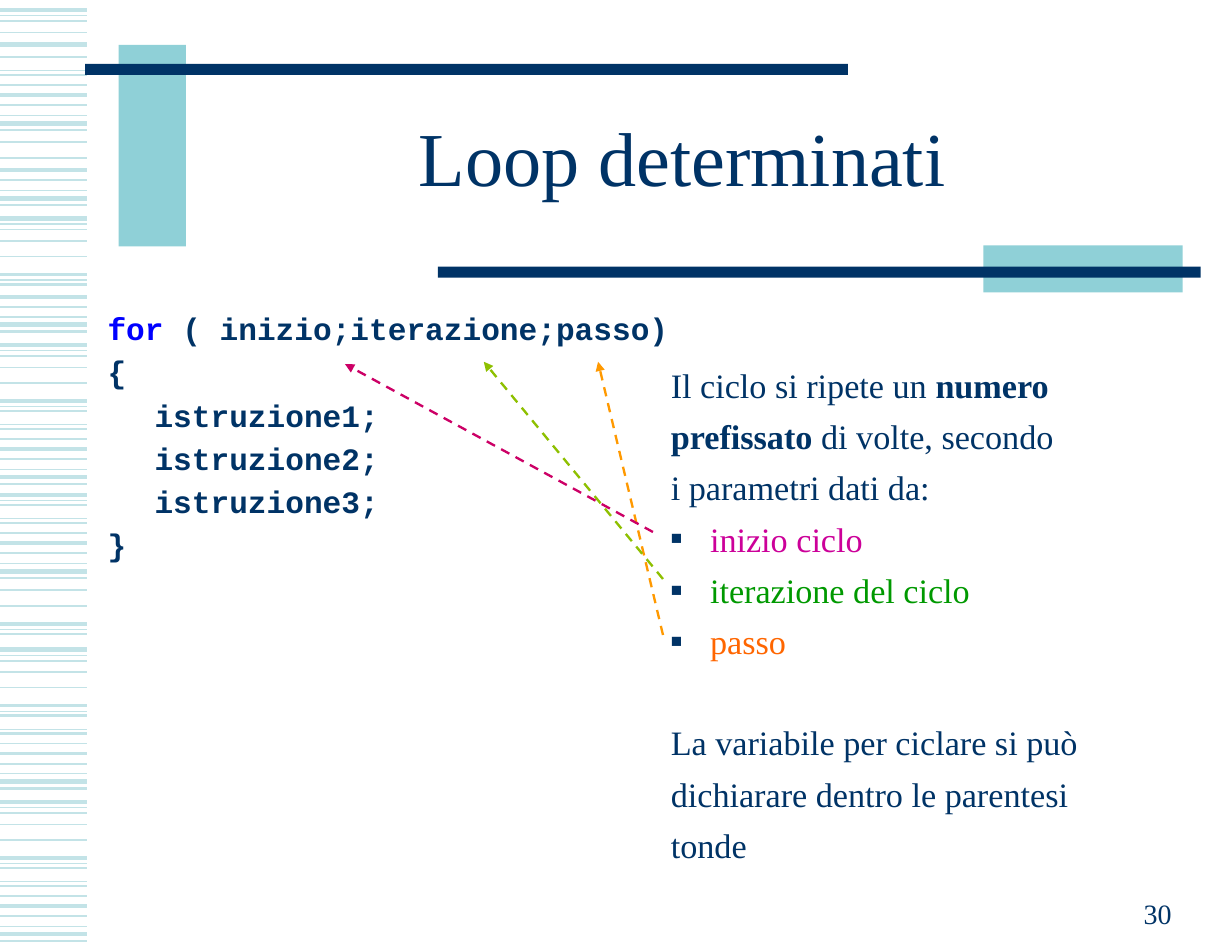
from dataclasses import dataclass
from typing import NamedTuple

from pptx import Presentation
from pptx.dml.color import RGBColor
from pptx.enum.dml import MSO_LINE_DASH_STYLE as Dash
from pptx.enum.shapes import MSO_CONNECTOR as Connector, MSO_SHAPE as Shape
from pptx.enum.text import MSO_ANCHOR as Anchor, PP_ALIGN as Align
from pptx.oxml.ns import qn
from pptx.oxml.xmlchemy import OxmlElement
from pptx.util import Emu, Inches, Pt

COLOURS = {
    "navy": "003366", "teal": "8FD0D7", "pale": "C3E3E7", "keyword": "0000FF",
    "magenta": "CC0099", "green": "009900", "orange": "FF6600",
    "start_arrow": "CC0066", "iteration_arrow": "8EC000", "step_arrow": "FF9900",
}
SERIF, MONO = "Times New Roman", "Courier New"
WIDTH, HEIGHT = Inches(11), Inches(8.5)
COLUMNS, ROWS = 44, 34
STRIPE_COLUMNS = 3.12


class Stripe(NamedTuple):
    row: float
    weight: float


class Band(NamedTuple):
    """A run of stripes from a motif, shifted down to a start row."""
    motif: list[Stripe]
    start: float
    first: int = 0
    end: int | None = None


class Box(NamedTuple):
    column: float
    row: float
    columns: float
    rows: float


class Bar(NamedTuple):
    box: Box
    colour: str


class Arrow(NamedTuple):
    start: tuple[float, float]
    tip: tuple[float, float]
    colour: str


class Run(NamedTuple):
    text: str
    colour: str = "navy"
    bold: bool = False


@dataclass
class Line:
    runs: list[Run]
    margin: float = 0
    hanging: float = 0
    before: float = 0


@dataclass
class TextBlock:
    box: Box
    lines: list[Line]
    size: float
    font: str = SERIF
    spacing: float = 1.0
    anchor: Anchor = Anchor.TOP
    align: Align = Align.LEFT


DENSE = [Stripe(-0.36, 1), Stripe(0, 2.25), Stripe(0.36, 1.5),
         Stripe(0.72, 0.75), Stripe(1, 3), Stripe(1.24, 1.5)]
SPARSE = [Stripe(0, 3), Stripe(0.2, 0.75), Stripe(0.4, 1), Stripe(0.8, 1),
          Stripe(1.36, 1), Stripe(2, 2.25), Stripe(2.2, 0.75),
          Stripe(2.36, 1.5), Stripe(2.84, 0.75), Stripe(3, 1.5)]
BANDS = [
    *(Band(DENSE, start) for start in (3.4, 16.04, 19.4, 26.92, 32.36)),
    *(Band(DENSE, start, 1) for start in (6.08, 10.6)),
    *(Band(SPARSE, start) for start in (12.32, 23.2, 28.64)),
    Band(SPARSE, 0.36, 0, 4), Band(SPARSE, 1.6, 0, 1), Band(SPARSE, -0.32, 7),
    Band(SPARSE, 4.28, 3, 5), Band(SPARSE, 7.8, 0, 8),
    Band(SPARSE, 15.68, 5), Band(SPARSE, 20.28, 3, 8),
]
BARS = [
    Bar(Box(4.24, 1.6, 2.4, 7.2), "teal"),
    Bar(Box(3.04, 2.28, 27.24, 0.4), "navy"),
    Bar(Box(35.12, 8.76, 7.12, 1.68), "teal"),
    Bar(Box(15.64, 9.52, 27.24, 0.4), "navy"),
]
ARROWS = [
    Arrow((23.68, 22.68), (21.36, 12.92), "step_arrow"),
    Arrow((23.68, 20.68), (17.28, 12.92), "iteration_arrow"),
    Arrow((23.32, 19), (12.32, 13), "start_arrow"),
]


def code(*runs: Run, margin: float = 0) -> Line:
    return Line(list(runs), margin, before=6.2)


def prose(*runs: Run, before: float = 6.6) -> Line:
    return Line(list(runs), 2.2, before=before)


def bullet(text: str, colour: str) -> Line:
    return Line([Run(text, colour)], 3.6, 1.4, 6.6)


TEXTS = [
    TextBlock(Box(31.72, 31.16, 10.56, 2.28), [Line([Run("30")])], 18,
              anchor=Anchor.BOTTOM, align=Align.RIGHT),
    TextBlock(Box(6.6, 3, 35.52, 5.68), [Line([Run("Loop determinati")])], 49,
              spacing=0.85, anchor=Anchor.MIDDLE, align=Align.CENTER),
    TextBlock(Box(3.4, 10.96, 21.56, 19.24), [
        code(Run("for", "keyword", True),
             Run(" ( inizio;iterazione;passo)", bold=True)),
        code(Run("{", bold=True)),
        *(code(Run(f"istruzione{number};", bold=True), margin=1.68)
          for number in (1, 2, 3)),
        code(Run("}", bold=True)),
    ], 20, MONO, 0.9),
    TextBlock(Box(21.32, 12.76, 19.68, 19.24), [
        prose(Run("Il ciclo si ripete un "), Run("numero", bold=True)),
        prose(Run("prefissato", bold=True), Run(" di volte, secondo")),
        prose(Run("i parametri dati da:")),
        bullet("inizio ciclo", "magenta"),
        bullet("iterazione del ciclo", "green"),
        bullet("passo", "orange"),
        prose(Run("La variabile per ciclare si può"), before=38.5),
        prose(Run("dichiarare dentro le parentesi")),
        prose(Run("tonde")),
    ], 22),
]


def rgb(name: str) -> RGBColor:
    return RGBColor.from_string(COLOURS[name])


def x(columns: float) -> Emu:
    return Emu(round(WIDTH * columns / COLUMNS))


def y(rows: float) -> Emu:
    return Emu(round(HEIGHT * rows / ROWS))


def place(box: Box) -> tuple[Emu, Emu, Emu, Emu]:
    return x(box.column), y(box.row), x(box.columns), y(box.rows)


def add_child(parent, tag: str, **attributes: str):
    child = OxmlElement(tag)
    for name, value in attributes.items():
        child.set(name, value)
    parent.append(child)
    return child


def draw_line(slide, start, end, colour: str, weight: float, arrow: bool = False) -> None:
    connector = slide.shapes.add_connector(
        Connector.STRAIGHT, x(start[0]), y(start[1]), x(end[0]), y(end[1]))
    connector.line.color.rgb = rgb(colour)
    connector.line.width = Pt(weight)
    properties = connector.element.spPr
    if arrow:
        connector.line.dash_style = Dash.DASH
        add_child(properties.find(qn("a:ln")), "a:tailEnd", type="triangle")
    add_child(properties, "a:effectLst")


def draw_bar(slide, bar: Bar) -> None:
    shape = slide.shapes.add_shape(Shape.RECTANGLE, *place(bar.box))
    shape.shadow.inherit = False
    shape.fill.solid()
    shape.fill.fore_color.rgb = rgb(bar.colour)
    shape.line.fill.background()


def indent(paragraph, line: Line) -> None:
    properties = paragraph._p.get_or_add_pPr()
    properties.set("marL", str(x(line.margin)))
    properties.set("indent", str(-x(line.hanging)))
    if line.hanging:
        add_child(add_child(properties, "a:buClr"), "a:srgbClr", val=COLOURS["navy"])
        add_child(properties, "a:buSzPct", val="55000")
        add_child(properties, "a:buFont", typeface=SERIF)
        add_child(properties, "a:buChar", char="■")


def draw_text(slide, block: TextBlock) -> None:
    frame = slide.shapes.add_textbox(*place(block.box)).text_frame
    frame_format = {
        "word_wrap": True, "vertical_anchor": block.anchor,
        "margin_left": Inches(0.11), "margin_right": Inches(0.11),
        "margin_top": Inches(0.06), "margin_bottom": Inches(0.06),
    }
    for name, value in frame_format.items():
        setattr(frame, name, value)
    for index, line in enumerate(block.lines):
        paragraph = frame.add_paragraph() if index else frame.paragraphs[0]
        paragraph.alignment = block.align
        paragraph.line_spacing = block.spacing
        paragraph.space_before = Pt(line.before)
        indent(paragraph, line)
        for part in line.runs:
            run = paragraph.add_run()
            run.text = part.text
            run.font.color.rgb = rgb(part.colour)
            font_format = {"name": block.font, "size": Pt(block.size), "bold": part.bold}
            for name, value in font_format.items():
                setattr(run.font, name, value)


def main() -> None:
    deck = Presentation()
    deck.slide_width, deck.slide_height = WIDTH, HEIGHT
    slide = deck.slides.add_slide(deck.slide_layouts[6])
    for band in BANDS:
        for stripe in band.motif[band.first:band.end]:
            row = band.start + stripe.row
            draw_line(slide, (0, row), (STRIPE_COLUMNS, row), "pale", stripe.weight)
    for bar in BARS:
        draw_bar(slide, bar)
    for block in TEXTS:
        draw_text(slide, block)
    for arrow in ARROWS:
        draw_line(slide, arrow.start, arrow.tip, arrow.colour, 1.5, arrow=True)
    deck.save("out.pptx")


if __name__ == "__main__":
    main()
